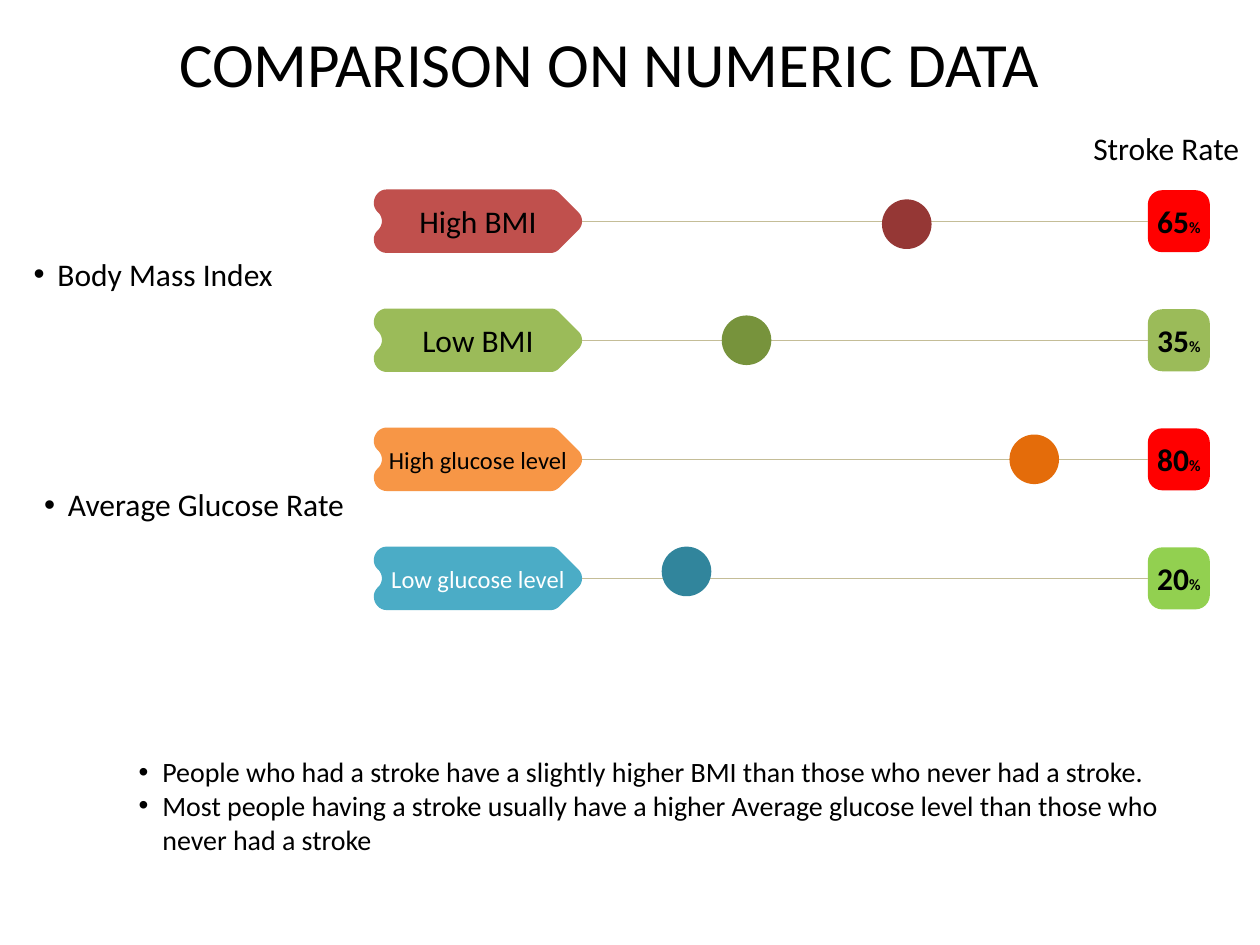
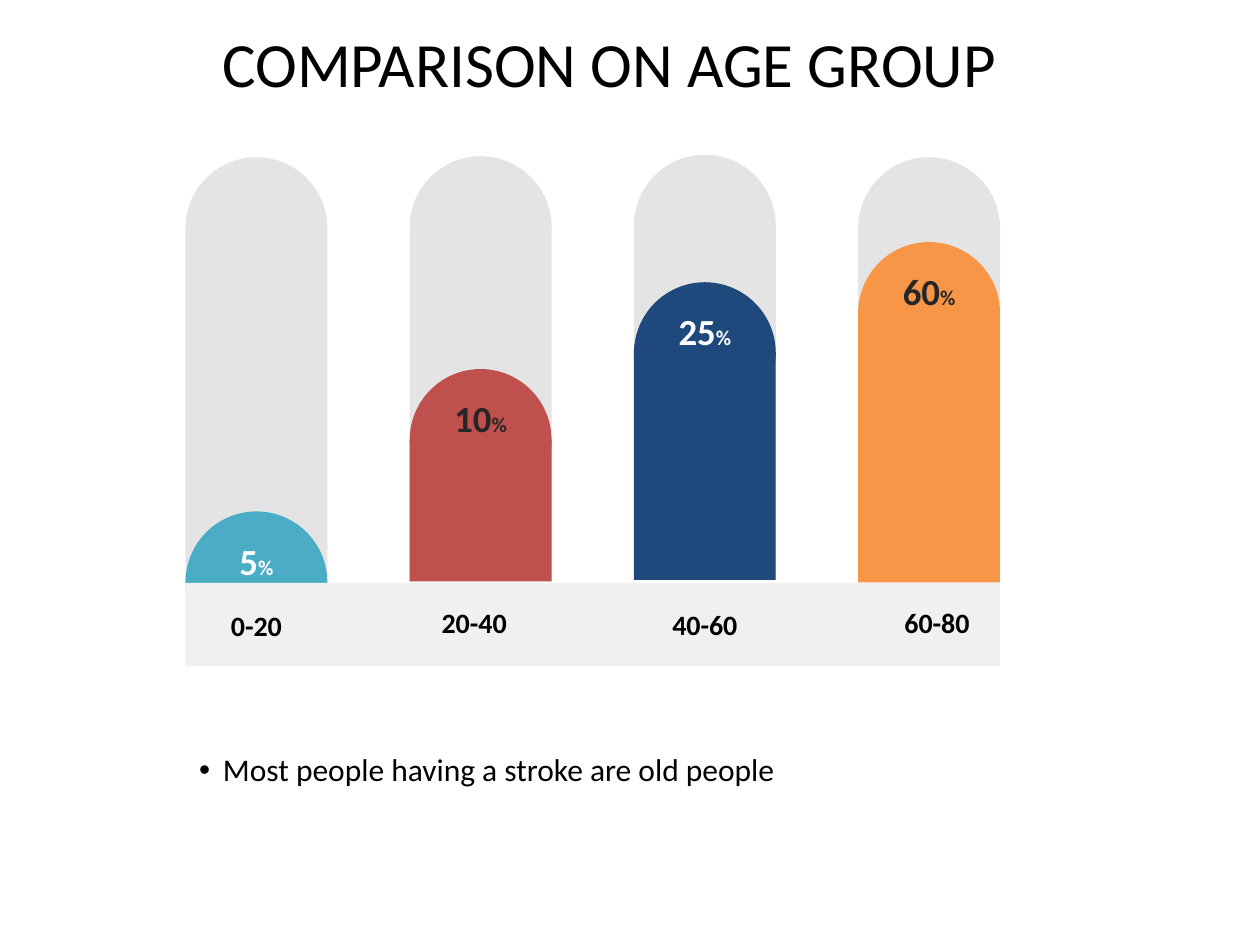
from dataclasses import dataclass

from lxml import etree
from pptx import Presentation
from pptx import util as u
from pptx.dml.color import RGBColor
from pptx.enum import shapes, text
from pptx.oxml.ns import qn


@dataclass(frozen=True)
class Theme:
    font: str = "Calibri"
    black: str = "000000"
    charcoal: str = "262626"
    white: str = "FFFFFF"
    red: str = "C0504D"
    dark_red: str = "953735"
    alarm: str = "FF0000"
    green: str = "9BBB59"
    dark_green: str = "77933C"
    lime: str = "92D050"
    orange: str = "F79646"
    dark_orange: str = "E46C0A"
    teal: str = "4BACC6"
    dark_teal: str = "31859C"
    navy: str = "1F497D"
    rule: str = "C4BD97"
    track: str = "D9D9D9"
    band: str = "F1EFF0"
    title_size: int = 36
    column_size: int = 21
    body_size: int = 18
    note_size: int = 16
    small_size: int = 14
    column_percent_size: int = 12
    badge_percent_size: int = 9


THEME = Theme()
PRESET = shapes.MSO_SHAPE
CENTER = text.PP_ALIGN.CENTER
MIDDLE = text.MSO_ANCHOR.MIDDLE

# Slide 1 rows: label, label size, label colour, tag fill, value, badge fill,
# marker left, marker shift from the row's axis, marker fill
RATE_ROWS = [
    ("High BMI", THEME.body_size, THEME.black, THEME.red,
     65, THEME.alarm, 17.78, 0.06, THEME.dark_red),
    ("Low BMI", THEME.body_size, THEME.black, THEME.green,
     35, THEME.green, 14.55, 0, THEME.dark_green),
    ("High glucose level", THEME.small_size, THEME.black, THEME.orange,
     80, THEME.alarm, 20.35, 0, THEME.dark_orange),
    ("Low glucose level", THEME.small_size, THEME.white, THEME.teal,
     20, THEME.lime, 13.34, -0.14, THEME.dark_teal),
]
FIRST_ROW, ROW_PITCH = 4.46, 2.4
TAG_LEFT, TAG_WIDTH = 7.53, 4.2
BADGE_LEFT, BADGE_SIZE, MARKER_SIZE = 23.14, 1.25, 1

# Tag outline in cm around its left middle: a point is a line, three are a curve
TAG_START = (0.27, -0.64)
TAG_STEPS = [
    [(3.57, -0.64)],
    [(3.64, -0.64), (3.7, -0.61), (3.75, -0.56)],
    [(4.13, -0.18)],
    [(4.23, -0.08), (4.23, 0.08), (4.13, 0.18)],
    [(3.75, 0.56)],
    [(3.7, 0.61), (3.64, 0.64), (3.57, 0.64)],
    [(0.27, 0.64)],
    [(0.04, 0.64), (-0.08, 0.35), (0.08, 0.19)],
    [(0.2, 0.09), (0.2, -0.09), (0.08, -0.19)],
    [(-0.08, -0.35), (0.04, -0.64), (0.27, -0.64)],
]

# Slide 2 columns: age group, label left and top, value, value colour, fill,
# dome top, column foot
AGE_COLUMNS = [
    ("0-20", 3.43, 12.14, 5, THEME.white, THEME.teal, 10.31, 11.74),
    ("20-40", 7.82, 12.07, 10, THEME.charcoal, THEME.red, 7.44, 11.72),
    ("40-60", 12.47, 12.12, 25, THEME.white, THEME.navy, 5.69, 11.69),
    ("60-80", 17.15, 12.07, 60, THEME.charcoal, THEME.orange, 4.88, 11.74),
]
FIRST_COLUMN, COLUMN_PITCH, COLUMN_WIDTH, TRACK_HEIGHT = 3.74, 4.52, 2.86, 8.57


def color(value):
    return RGBColor.from_string(value)


def format_run(run, size, ink=THEME.black, bold=False):
    run.font.name = THEME.font
    run.font.size = u.Pt(size)
    run.font.color.rgb = color(ink)
    run.font.bold = bold


def format_text(frame, size, ink=THEME.black, bold=False):
    for paragraph in frame.paragraphs:
        for run in paragraph.runs:
            format_run(run, size, ink, bold)


def place(shape, left, top, width, height):
    shape.left, shape.top = u.Cm(left), u.Cm(top)
    shape.width, shape.height = u.Cm(width), u.Cm(height)


def set_insets(frame, side, end):
    frame.margin_left = frame.margin_right = u.Cm(side)
    frame.margin_top = frame.margin_bottom = u.Cm(end)


def paint(shape, fill):
    shape.shadow.inherit = False
    shape.fill.solid()
    shape.fill.fore_color.rgb = color(fill)
    shape.line.fill.background()


def add_block(slide, preset, box, fill):
    shape = slide.shapes.add_shape(preset, *map(u.Cm, box))
    paint(shape, fill)
    return shape


def add_label(slide, box, words, size, bold=False):
    label = slide.shapes.add_textbox(*map(u.Cm, box))
    label.text_frame.word_wrap = True
    label.text_frame.text = words
    format_text(label.text_frame, size, bold=bold)
    return label


def set_bullets(frame):
    for paragraph in frame.paragraphs:
        paragraph.space_before = u.Pt(0)
        properties = paragraph._p.get_or_add_pPr()
        properties.set("marL", str(u.Cm(0.48)))
        properties.set("indent", str(-u.Cm(0.48)))
        etree.SubElement(properties, qn("a:buFont")).set("typeface", "Arial")
        etree.SubElement(properties, qn("a:buChar")).set("char", "•")


def add_percent(shape, value, size, percent_size, ink):
    """Write a bold number followed by a smaller percent sign."""
    paragraph = shape.text_frame.paragraphs[0]
    paragraph.alignment = CENTER
    for words, run_size in ((str(value), size), ("%", percent_size)):
        run = paragraph.add_run()
        run.text = words
        format_run(run, run_size, ink, bold=True)


def add_slide(presentation, title, findings, findings_box, findings_size):
    """Start a slide with its title and its bulleted findings."""
    slide = presentation.slides.add_slide(presentation.slide_layouts[1])
    heading, body = slide.shapes.title, slide.placeholders[1]
    place(heading, 0.64, 0.2, 23.29, 2.11)
    heading.text_frame.text = title
    heading.text_frame.vertical_anchor = MIDDLE
    heading.text_frame.paragraphs[0].alignment = CENTER
    format_text(heading.text_frame, THEME.title_size)
    place(body, *findings_box)
    body.text_frame.text = "\n".join(findings)
    body.text_frame.auto_size = text.MSO_AUTO_SIZE.NONE
    format_text(body.text_frame, findings_size)
    set_bullets(body.text_frame)
    return slide


def outline_points(start, steps, samples=12):
    """Turn lines and cubic curves into a list of points in EMU."""
    points, last = [], start
    for step in steps:
        if len(step) == 1:
            points += step
        else:
            corners = [last, *step]
            for index in range(1, samples + 1):
                t = index / samples
                weights = ((1 - t) ** 3, 3 * t * (1 - t) ** 2, 3 * t * t * (1 - t), t ** 3)
                points.append(tuple(sum(w * corner[axis] for w, corner in zip(weights, corners))
                                    for axis in (0, 1)))
        last = step[-1]
    return [(u.Cm(x), u.Cm(y)) for x, y in points]


def add_tag(slide, axis, words, size, ink, fill):
    builder = slide.shapes.build_freeform(*map(u.Cm, TAG_START))
    builder.add_line_segments(outline_points(TAG_START, TAG_STEPS))
    tag = builder.convert_to_shape(u.Cm(TAG_LEFT), u.Cm(axis))
    paint(tag, fill)
    frame = tag.text_frame
    frame.text = words
    frame.word_wrap = True
    frame.vertical_anchor = MIDDLE
    frame.paragraphs[0].alignment = CENTER
    set_insets(frame, 0.08, 0.08)
    format_text(frame, size, ink)


def add_badge(slide, axis, value, fill):
    box = (BADGE_LEFT, axis - BADGE_SIZE / 2, BADGE_SIZE, BADGE_SIZE)
    badge = add_block(slide, PRESET.ROUNDED_RECTANGLE, box, fill)
    badge.adjustments[0] = 0.23
    badge.text_frame.vertical_anchor = MIDDLE
    set_insets(badge.text_frame, 0, 0.08)
    add_percent(badge, value, THEME.body_size, THEME.badge_percent_size, THEME.black)
    return badge


def add_axis(slide, axis, badge):
    """Draw the thin line from the tag's tip to the badge."""
    line = slide.shapes.add_connector(
        shapes.MSO_CONNECTOR.STRAIGHT, u.Cm(TAG_LEFT + TAG_WIDTH), u.Cm(axis),
        u.Cm(BADGE_LEFT), u.Cm(axis))
    line.end_connect(badge, 1)
    line.line.color.rgb = color(THEME.rule)
    line.line.width = u.Pt(0.75)
    etree.SubElement(line._element.spPr, qn("a:effectLst"))


def add_rate_row(slide, axis, row):
    label, size, ink, fill, value, badge_fill, marker_left, shift, marker_fill = row
    add_tag(slide, axis, label, size, ink, fill)
    add_axis(slide, axis, add_badge(slide, axis, value, badge_fill))
    marker_top = axis + shift - MARKER_SIZE / 2
    add_block(slide, PRESET.OVAL, (marker_left, marker_top, MARKER_SIZE, MARKER_SIZE), marker_fill)


def add_age_column(slide, left, column):
    _, _, _, value, ink, fill, dome_top, foot = column
    # Pale track behind the column
    track = add_block(slide, PRESET.ROUND_2_SAME_RECTANGLE,
                      (left, foot - TRACK_HEIGHT, COLUMN_WIDTH, TRACK_HEIGHT), THEME.track)
    track.adjustments[0] = 0.5
    solid = track._element.spPr.find(qn("a:solidFill"))
    etree.SubElement(solid[0], qn("a:alpha")).set("val", "70000")
    # Column body under its dome
    shoulder = dome_top + COLUMN_WIDTH / 2
    if foot - shoulder > 0.1:
        add_block(slide, PRESET.RECTANGLE, (left, shoulder, COLUMN_WIDTH, foot - shoulder), fill)
    dome = add_block(slide, PRESET.OVAL, (left, dome_top, COLUMN_WIDTH, COLUMN_WIDTH), fill)
    dome.text_frame.vertical_anchor = text.MSO_ANCHOR.TOP
    add_percent(dome, value, THEME.column_size, THEME.column_percent_size, ink)


def build_numeric_slide(presentation):
    findings = [
        "People who had a stroke have a slightly higher BMI than those who never had a stroke.",
        "Most people having a stroke usually have a higher Average glucose level than those "
        "who never had a stroke",
    ]
    slide = add_slide(presentation, "COMPARISON ON NUMERIC DATA", findings,
                      (2.54, 15.09, 21.59, 2.4), THEME.note_size)
    # Measures on the left
    for words, left, top in (("Body Mass Index", 0.43, 5.02), ("Average Glucose Rate", 0.64, 9.66)):
        measure = add_label(slide, (left, top, 8.05, 1.03), words, THEME.body_size)
        set_bullets(measure.text_frame)
    # Rows with their heading
    for index, row in enumerate(RATE_ROWS):
        add_rate_row(slide, FIRST_ROW + index * ROW_PITCH, row)
    add_label(slide, (21.79, 2.47, 3.61, 1.03), "Stroke Rate", THEME.body_size)


def build_age_slide(presentation):
    slide = add_slide(presentation, "COMPARISON ON AGE GROUP",
                      ["Most people having a stroke are old people"],
                      (3.76, 15, 13.54, 1.03), THEME.body_size)
    for index, column in enumerate(AGE_COLUMNS):
        add_age_column(slide, FIRST_COLUMN + index * COLUMN_PITCH, column)
    # Band with the age groups
    band_width = (len(AGE_COLUMNS) - 1) * COLUMN_PITCH + COLUMN_WIDTH
    add_block(slide, PRESET.RECTANGLE, (FIRST_COLUMN, 11.75, band_width, 1.68), THEME.band)
    for group, left, top, *_ in AGE_COLUMNS:
        label = add_label(slide, (left, top, 3.48, 0.94), group, THEME.note_size, bold=True)
        label.text_frame.paragraphs[0].alignment = CENTER
        label.text_frame.vertical_anchor = text.MSO_ANCHOR.BOTTOM
        set_insets(label.text_frame, 0, 0.13)


def main():
    presentation = Presentation()
    presentation.slide_width, presentation.slide_height = u.Cm(25.4), u.Cm(19.05)
    build_numeric_slide(presentation)
    build_age_slide(presentation)
    presentation.save("out.pptx")


if __name__ == "__main__":
    main()
